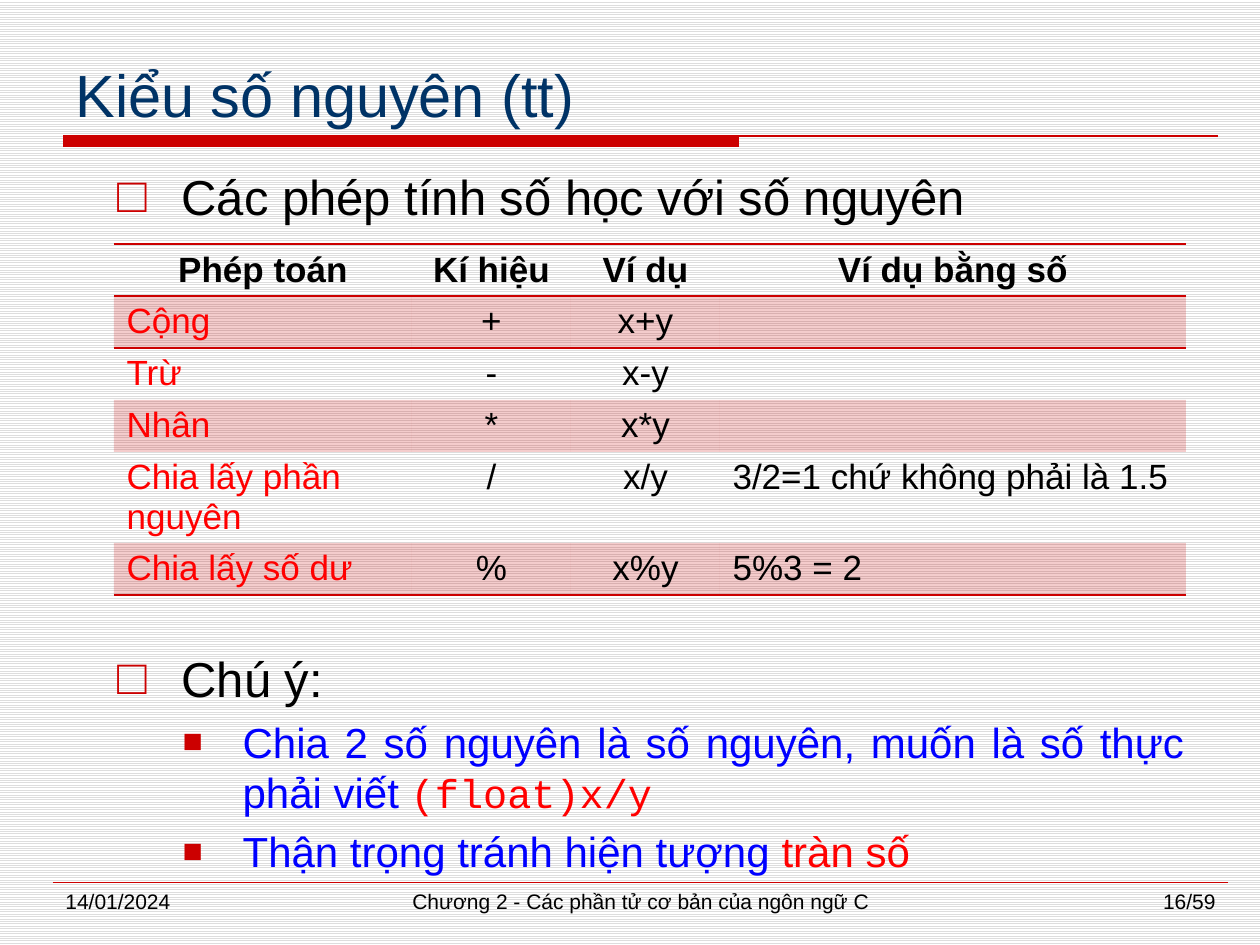
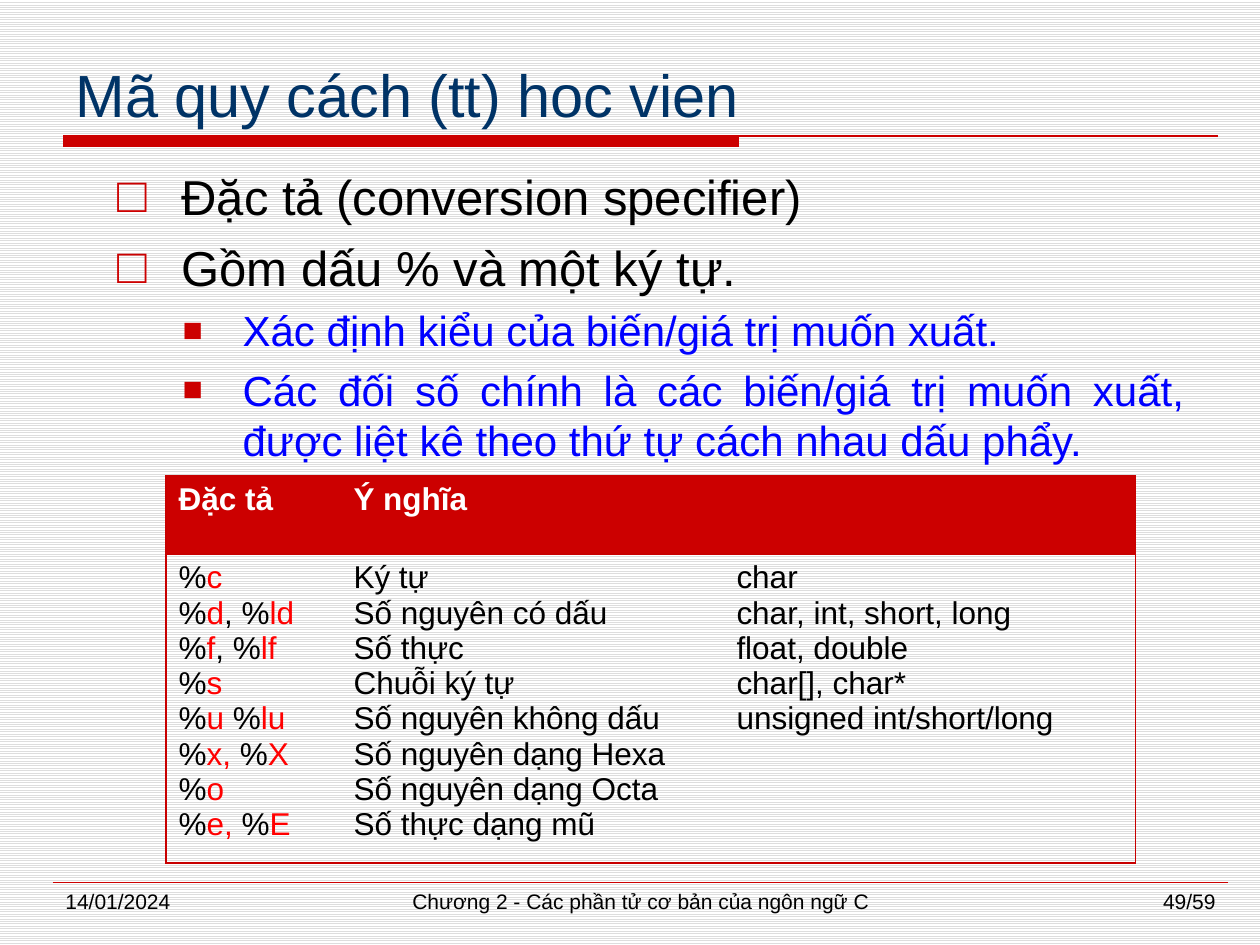
from dataclasses import dataclass
from typing import NamedTuple

from lxml.etree import SubElement
from pptx import Presentation
from pptx.dml.color import RGBColor as Rgb
from pptx.enum.dml import MSO_PATTERN as Pattern
from pptx.enum.shapes import MSO_CONNECTOR as Connector, MSO_SHAPE as Preset
from pptx.enum.text import MSO_ANCHOR as Anchor, MSO_AUTO_SIZE as AutoSize, PP_ALIGN as Align
from pptx.oxml.ns import qn
from pptx.util import Emu, Pt

EMU_PER_PX = 914400 / 126
PLAIN_TABLE = "{2D5ABB26-0587-4C30-8999-92F81FD0307C}"


@dataclass(frozen=True)
class Theme:
    accent: str = "CC0000"
    frame: str = "C80000"
    title: str = "003366"
    ink: str = "000000"
    note: str = "0000FF"
    mark: str = "FF0000"
    paper: str = "FFFFFF"
    stripe: str = "DDDDDD"
    sans: str = "Arial"
    mono: str = "Courier New"
    title_size: int = 34
    head_size: int = 28
    note_size: int = 24
    code_size: int = 23
    operator_size: int = 20
    specifier_size: int = 18
    footer_size: int = 12


THEME = Theme()


class Box(NamedTuple):
    left: int
    top: int
    width: int
    height: int


class Span(NamedTuple):
    text: str
    color: str = THEME.ink
    size: int = THEME.head_size
    name: str = THEME.sans
    bold: bool = False


class Bullet(NamedTuple):
    char: str
    percent: int
    margin: int
    hanging: int
    gap: int


class Item(NamedTuple):
    spans: list[Span]
    level: int = 0
    gap: int | None = None


class Edge(NamedTuple):
    side: str
    color: str
    points: float


class Footer(NamedTuple):
    box: Box
    align: Align


BULLETS = (Bullet("□", 100, 64, 64, 7), Bullet("■", 80, 125, 60, 5))
TITLE_BOX = Box(63, 42, 1155, 94)
BODY_BOX = Box(105, 160, 1092, 712)
BAND_BOX = Box(63, 136, 676, 11)
FOOTERS = (
    Footer(Box(53, 882, 273, 44), Align.LEFT),
    Footer(Box(368, 882, 546, 44), Align.CENTER),
    Footer(Box(955, 882, 273, 44), Align.RIGHT),
)
DATE = "14/01/2024"
CHAPTER = "Chương 2 - Các phần tử cơ bản của ngôn ngữ C"


def px(length: int) -> Emu:
    return Emu(round(length * EMU_PER_PX))


def place(shape, box: Box) -> None:
    for name, value in box._asdict().items():
        setattr(shape, name, px(value))


def add_spans(para, spans: list[Span]) -> None:
    for span in spans:
        run = para.add_run()
        run.text = span.text
        run.font.color.rgb = Rgb.from_string(span.color)
        formats = {"size": Pt(span.size), "name": span.name, "bold": span.bold}
        for name, value in formats.items():
            setattr(run.font, name, value)


def set_frame(frame, anchor: Anchor) -> None:
    formats = {"word_wrap": True, "auto_size": AutoSize.NONE, "vertical_anchor": anchor}
    for name, value in formats.items():
        setattr(frame, name, value)


def add_lines(frame, lines: list[list[Span]], align: Align) -> None:
    for index, spans in enumerate(lines):
        para = frame.add_paragraph() if index else frame.paragraphs[0]
        para.alignment = align
        add_spans(para, spans)


def set_bullet(para, bullet: Bullet) -> None:
    props = para._p.get_or_add_pPr()
    props.set("marL", str(px(bullet.margin)))
    props.set("indent", str(-px(bullet.hanging)))
    color = SubElement(props, qn("a:buClr"))
    SubElement(color, qn("a:srgbClr"), val=THEME.accent)
    SubElement(props, qn("a:buSzPct"), val=str(bullet.percent * 1000))
    SubElement(props, qn("a:buFont"), typeface=THEME.sans)
    SubElement(props, qn("a:buChar"), char=bullet.char)


def add_items(frame, items: list[Item]) -> None:
    for index, item in enumerate(items):
        para = frame.add_paragraph() if index else frame.paragraphs[0]
        bullet = BULLETS[item.level]
        set_bullet(para, bullet)
        gap = bullet.gap if item.gap is None else item.gap
        formats = {
            "level": item.level,
            "alignment": Align.JUSTIFY,
            "space_before": Pt(gap if index else 0),
        }
        for name, value in formats.items():
            setattr(para, name, value)
        add_spans(para, item.spans)


def add_rule(page, left: int, right: int, y: int, points: float) -> None:
    rule = page.shapes.add_connector(Connector.STRAIGHT, px(left), px(y), px(right), px(y))
    rule.line.color.rgb = Rgb.from_string(THEME.accent)
    rule.line.width = Pt(points)
    SubElement(rule._element.spPr, qn("a:effectLst"))


def add_page(deck, title: str, items: list[Item], number: str):
    page = deck.slides.add_slide(deck.slide_layouts[1])
    heading, body = page.placeholders
    band = page.shapes.add_shape(Preset.RECTANGLE, *map(px, BAND_BOX))
    band.shadow.inherit = False
    band.fill.solid()
    band.fill.fore_color.rgb = Rgb.from_string(THEME.accent)
    band.line.fill.background()
    add_rule(page, 63, 1218, 136, 1.5)
    add_rule(page, 53, 1228, 882, 0.25)

    place(heading, TITLE_BOX)
    set_frame(heading.text_frame, Anchor.BOTTOM)
    add_lines(heading.text_frame, [[Span(title, THEME.title, THEME.title_size)]], Align.LEFT)
    place(body, BODY_BOX)
    set_frame(body.text_frame, Anchor.TOP)
    add_items(body.text_frame, items)

    for footer, text in zip(FOOTERS, (DATE, CHAPTER, number)):
        frame = page.shapes.add_textbox(*map(px, footer.box)).text_frame
        set_frame(frame, Anchor.TOP)
        add_lines(frame, [[Span(text, size=THEME.footer_size)]], footer.align)
    return page


def add_grid(page, left: int, top: int, widths: list[int], heights: list[int]):
    box = Box(left, top, sum(widths), sum(heights))
    table = page.shapes.add_table(len(heights), len(widths), *map(px, box)).table
    table._tbl.tblPr.find(qn("a:tableStyleId")).text = PLAIN_TABLE
    for name in ("first_row", "horz_banding"):
        setattr(table, name, False)
    for column, width in zip(table.columns, widths):
        column.width = px(width)
    for row, height in zip(table.rows, heights):
        row.height = px(height)
    return table


def paint_cell(cell, edges: list[Edge], color: str | None = None, percent: int = 100) -> None:
    props = cell._tc.get_or_add_tcPr()
    for edge in edges:
        line = SubElement(props, qn(f"a:ln{edge.side}"), w=str(Pt(edge.points)))
        fill = SubElement(line, qn("a:solidFill"))
        SubElement(fill, qn("a:srgbClr"), val=edge.color)
    if color is None:
        cell.fill.background()
        return
    cell.fill.solid()
    cell.fill.fore_color.rgb = Rgb.from_string(color)
    if percent < 100:
        shade = props.find(qn("a:solidFill")).find(qn("a:srgbClr"))
        SubElement(shade, qn("a:alpha"), val=str(percent * 1000))


def add_operators(page) -> None:
    rows = [
        ("Phép toán", "Kí hiệu", "Ví dụ", "Ví dụ bằng số"),
        ("Cộng", "+", "x+y", ""),
        ("Trừ", "-", "x-y", ""),
        ("Nhân", "*", "x*y", ""),
        ("Chia lấy phần nguyên", "/", "x/y", "3/2=1 chứ không phải là 1.5"),
        ("Chia lấy số dư", "%", "x%y", "5%3 = 2"),
    ]
    table = add_grid(page, 114, 244, [298, 159, 149, 466], [52, 52, 52, 52, 91, 52])
    top, bottom = (Edge(side, THEME.accent, 1) for side in "TB")
    last = len(rows) - 1
    for r, row in enumerate(rows):
        edges = {0: [top, bottom], 1: [top], last: [bottom]}.get(r, [])
        for c, text in enumerate(row):
            cell = table.cell(r, c)
            paint_cell(cell, edges, THEME.accent if r % 2 else None, 20)
            if text:
                color = THEME.mark if r and c == 0 else THEME.ink
                align = Align.CENTER if r == 0 or c in (1, 2) else Align.LEFT
                span = Span(text, color, THEME.operator_size, bold=r == 0)
                add_lines(cell.text_frame, [[span]], align)


def add_specifiers(page) -> None:
    size = THEME.specifier_size
    codes = [
        ("%", "c"),
        ("%", "d", ", %", "ld"),
        ("%", "f", ", %", "lf"),
        ("%", "s"),
        ("%", "u ", "%", "lu"),
        ("%", "x, ", "%", "X"),
        ("%", "o"),
        ("%", "e, ", "%", "E"),
    ]
    meanings = [
        "Ký tự", "Số nguyên có dấu", "Số thực", "Chuỗi ký tự", "Số nguyên không dấu",
        "Số nguyên dạng Hexa", "Số nguyên dạng Octa", "Số thực dạng mũ",
    ]
    types = [
        "char", "char, int, short, long", "float, double", "char[], char*",
        "unsigned int/short/long",
    ]
    inks = (THEME.ink, THEME.mark)
    columns = [
        [[Span(part, inks[i % 2], size) for i, part in enumerate(code)] for code in codes],
        [[Span(text, size=size)] for text in meanings],
        [[Span(text, size=size)] for text in types],
    ]
    table = add_grid(page, 166, 476, [175, 383, 412], [78, 309])
    for c, (header, lines) in enumerate(zip(("Đặc tả", "Ý nghĩa", ""), columns)):
        sides = ("LT", "T", "RT")[c]
        head, body = table.cell(0, c), table.cell(1, c)
        paint_cell(head, [Edge(side, THEME.frame, 0.75) for side in sides], THEME.accent)
        paint_cell(body, [Edge(side, THEME.frame, 0.75) for side in sides + "B"])
        if header:
            add_lines(head.text_frame, [[Span(header, THEME.paper, size, bold=True)]], Align.LEFT)
        add_lines(body.text_frame, lines, Align.LEFT)


def note(text: str, color: str = THEME.note) -> Span:
    return Span(text, color, THEME.note_size)


def main() -> None:
    deck = Presentation()
    deck.slide_width, deck.slide_height = px(1260), px(945)
    fill = deck.slide_master.background.fill
    fill.patterned()
    fill.pattern = Pattern.LIGHT_HORIZONTAL
    fill.fore_color.rgb = Rgb.from_string(THEME.stripe)
    fill.back_color.rgb = Rgb.from_string(THEME.paper)

    integers = [
        Item([Span("Các phép tính số học với số nguyên")]),
        Item([Span("Chú ý:")], gap=242),
        Item([
            note("Chia 2 số nguyên là số nguyên, muốn là số thực phải viết "),
            Span("(float)x/y", THEME.mark, THEME.code_size, THEME.mono),
        ], 1),
        Item([note("Thận trọng tránh hiện tượng "), note("tràn số", THEME.mark)], 1),
    ]
    add_operators(add_page(deck, "Kiểu số nguyên (tt)", integers, "16/59"))

    formats = [
        Item([Span("Đặc tả (conversion specifier)")]),
        Item([Span("Gồm dấu % và một ký tự.")]),
        Item([note("Xác định kiểu của biến/giá trị muốn xuất.")], 1),
        Item([note("Các đối số chính là các biến/giá trị muốn xuất, "
                   "được liệt kê theo thứ tự cách nhau dấu phẩy.")], 1),
    ]
    add_specifiers(add_page(deck, "Mã quy cách (tt) hoc vien", formats, "49/59"))
    deck.save("out.pptx")


if __name__ == "__main__":
    main()
